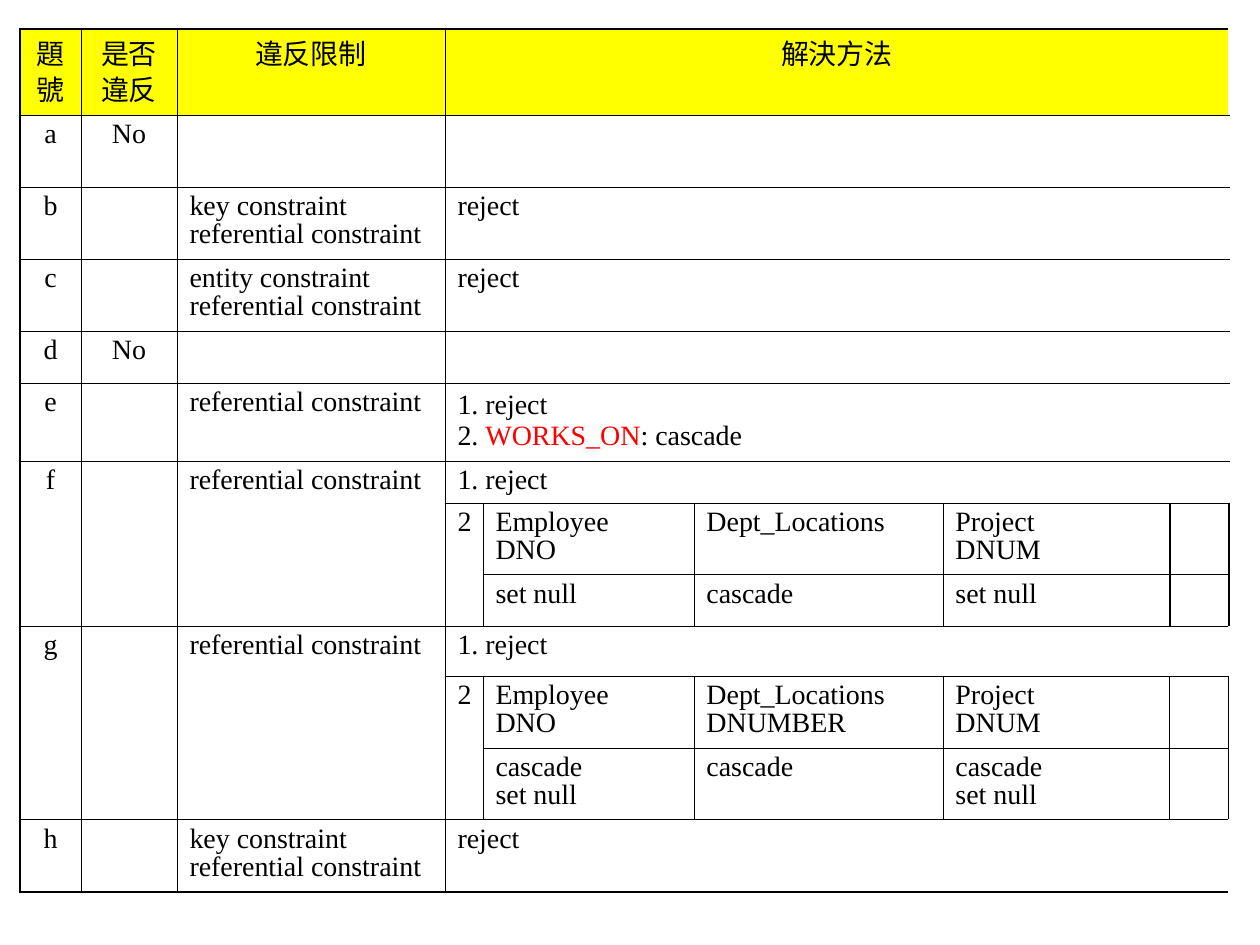
import pptx
import pptx.dml.color
import pptx.enum.text
import pptx.util
from lxml import etree

PX = 914400 // 126
BLACK = pptx.dml.color.RGBColor(0x00, 0x00, 0x00)
RED = pptx.dml.color.RGBColor(0xFF, 0x00, 0x00)
YELLOW = pptx.dml.color.RGBColor(0xFF, 0xFF, 0x00)
FONT = "Times New Roman"
THIN, THICK = pptx.util.Pt(0.45), pptx.util.Pt(1.08)
NAMESPACE = "{http://schemas.openxmlformats.org/drawingml/2006/main}"

LEFT, TOP = 20, 29
COLUMN_WIDTHS = [61, 96, 268, 38, 211, 249, 227, 59]
ROW_HEIGHTS = [86, 72, 72, 72, 52, 78, 42, 72, 44, 50, 72, 72, 72]
SOLUTION_COLUMN = 3

# Number, violated or not, broken constraint, solution, by table row
ANSWERS = {
    0: ("題號", "是否違反", "違反限制", "解決方法"),
    1: ("a", "No", "", ""),
    2: ("b", "", "key constraint\nreferential constraint", "reject"),
    3: ("c", "", "entity constraint\nreferential constraint", "reject"),
    4: ("d", "No", "", ""),
    5: ("e", "", "referential constraint", "1. reject\n2. WORKS_ON: cascade"),
    6: ("f", "", "referential constraint", "1. reject"),
    9: ("g", "", "referential constraint", "1. reject"),
    12: ("h", "", "key constraint\nreferential constraint", "reject"),
}
# Second option of the three-row answers, by its first table row
SECOND_OPTIONS = {
    7: (("Employee\nDNO", "Dept_Locations", "Project\nDNUM"),
        ("set null", "cascade", "set null")),
    10: (("Employee\nDNO", "Dept_Locations\nDNUMBER", "Project\nDNUM"),
         ("cascade\nset null", "cascade", "cascade\nset null")),
}


def write_text(cell, text, centred=False, spacing=0.9, highlight=None):
    """Write one paragraph a line, with the highlighted word in red."""
    if not text:
        return
    frame = cell.text_frame
    for index, line in enumerate(text.split("\n")):
        para = frame.add_paragraph() if index else frame.paragraphs[0]
        para.line_spacing = spacing
        if centred:
            para.alignment = pptx.enum.text.PP_ALIGN.CENTER
        before, word, after = line.partition(highlight) if highlight else (line, "", "")
        for part, colour in ((before, BLACK), (word, RED), (after, BLACK)):
            if part:
                span = para.add_run()
                span.text = part
                span.font.name = FONT
                span.font.size = pptx.util.Pt(16)
                span.font.bold = False
                span.font.color.rgb = colour


def merge_cells(table):
    """Merge the spans and return the span that each covered place belongs to."""
    spans = [(row, SOLUTION_COLUMN, 1, 5) for row in ANSWERS]
    for row in SECOND_OPTIONS:
        spans += [(row - 1, column, 3, 1) for column in range(SOLUTION_COLUMN)]
        spans.append((row, SOLUTION_COLUMN, 2, 1))
    owners = {}
    for top, left, height, width in spans:
        table.cell(top, left).merge(table.cell(top + height - 1, left + width - 1))
        for row in range(top, top + height):
            for column in range(left, left + width):
                owners[row, column] = (top, left)
    return owners


def border_width(side, row, column):
    last_row, last_column = len(ROW_HEIGHTS) - 1, len(COLUMN_WIDTHS) - 1
    outer = {"L": column == 0, "R": column == last_column and row < 10,
             "T": row == 0, "B": row == last_row}
    divider = row in (7, 8) and (side, column) in (("R", 6), ("L", 7))
    return THICK if outer[side] or divider else THIN


def add_border(cell, side, width):
    properties = cell._tc.get_or_add_tcPr()
    line = etree.SubElement(properties, f"{NAMESPACE}ln{side}", w=str(int(width)))
    fill = etree.SubElement(line, f"{NAMESPACE}solidFill")
    etree.SubElement(fill, f"{NAMESPACE}srgbClr", val=str(BLACK))


def format_cells(table, owners):
    """Rule the outline of every span, then fill the cells."""
    neighbours = {"L": (0, -1), "R": (0, 1), "T": (-1, 0), "B": (1, 0)}
    for row in range(len(ROW_HEIGHTS)):
        for column in range(len(COLUMN_WIDTHS)):
            cell = table.cell(row, column)
            owner = owners.get((row, column), (row, column))
            for side, (down, across) in neighbours.items():
                beside = (row + down, column + across)
                if owners.get(beside, beside) != owner:
                    add_border(cell, side, border_width(side, row, column))
            if row == 0:
                cell.fill.solid()
                cell.fill.fore_color.rgb = YELLOW
            else:
                cell.fill.background()


def fill_in_answers(table):
    for row, answer in ANSWERS.items():
        for column, text in enumerate(answer):
            write_text(table.cell(row, column), text,
                       centred=row == 0 or column < 2,
                       spacing=1.0 if (row, column) == (5, SOLUTION_COLUMN) else 0.9,
                       highlight="WORKS_ON")
    for top, option in SECOND_OPTIONS.items():
        write_text(table.cell(top, SOLUTION_COLUMN), "2")
        for row, actions in enumerate(option, top):
            for column, text in enumerate(actions, SOLUTION_COLUMN + 1):
                write_text(table.cell(row, column), text)


def add_answer_table(page):
    frame = page.shapes.add_table(
        len(ROW_HEIGHTS), len(COLUMN_WIDTHS), LEFT * PX, TOP * PX,
        sum(COLUMN_WIDTHS) * PX, sum(ROW_HEIGHTS) * PX)
    table = frame.table
    table.first_row = False
    table.horz_banding = False
    for column, width in zip(table.columns, COLUMN_WIDTHS):
        column.width = width * PX
    for row, height in zip(table.rows, ROW_HEIGHTS):
        row.height = height * PX
    format_cells(table, merge_cells(table))
    fill_in_answers(table)


def main():
    deck = pptx.Presentation()
    deck.slide_width = pptx.util.Inches(10)
    deck.slide_height = pptx.util.Inches(7.5)
    page = deck.slides.add_slide(deck.slide_layouts[6])
    add_answer_table(page)
    deck.save("out.pptx")


if __name__ == "__main__":
    main()
